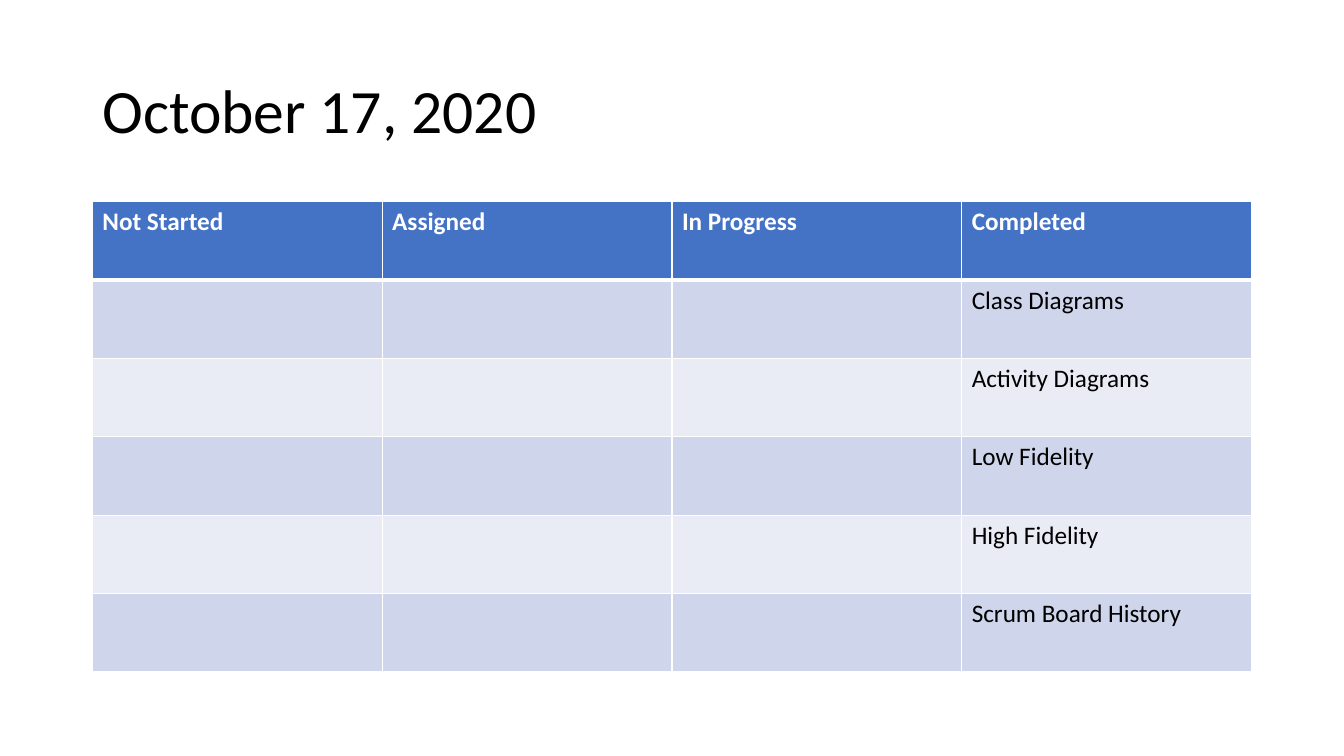
"""Build a scrum board slide with one status per column."""
from dataclasses import dataclass

import lxml.etree
import pptx
import pptx.dml.color
import pptx.enum.text
import pptx.oxml.ns
import pptx.util

Pt = pptx.util.Pt
RGBColor = pptx.dml.color.RGBColor

WHITE = RGBColor(0xFF, 0xFF, 0xFF)
BLACK = RGBColor(0x00, 0x00, 0x00)
HEADER_BLUE = RGBColor(0x44, 0x72, 0xC4)
BAND_DARK = RGBColor(0xCF, 0xD5, 0xEA)
BAND_LIGHT = RGBColor(0xE9, 0xEB, 0xF5)

FONT = "Calibri"
LEFT, WIDTH = 66, 828
TITLE_TOP, TITLE_HEIGHT = 28.75, 104.4
BOARD_TOP, ROW_HEIGHT = 144, 56
THIN, THICK = 1, 3


@dataclass(frozen=True)
class Status:
    """A board column and the tasks listed in it."""

    name: str
    tasks: tuple[str, ...] = ()


@dataclass(frozen=True)
class RowStyle:
    """The look of one board row."""

    fill: RGBColor
    text: RGBColor
    bold: bool = False
    top: int = THIN
    bottom: int = THIN


BOARD = (
    Status("Not Started"),
    Status("Assigned"),
    Status("In Progress"),
    Status("Completed", (
        "Class Diagrams",
        "Activity Diagrams",
        "Low Fidelity",
        "High Fidelity",
        "Scrum Board History",
    )),
)


def row_style(row: int) -> RowStyle:
    """Return the header style or the alternating band style."""
    if row == 0:
        return RowStyle(HEADER_BLUE, WHITE, bold=True, bottom=THICK)
    band = BAND_DARK if row % 2 else BAND_LIGHT
    return RowStyle(band, BLACK, top=THICK if row == 1 else THIN)


def set_font(paragraph, size: float, color: RGBColor, bold: bool = False) -> None:
    """Set the font of a whole paragraph."""
    font = paragraph.font
    font.name, font.size, font.bold = FONT, Pt(size), bold
    font.color.rgb = color


def add_border(cell, side: str, width: float) -> None:
    """Draw a white border on one side of a cell."""
    qn = pptx.oxml.ns.qn
    properties = cell._tc.get_or_add_tcPr()
    line = lxml.etree.SubElement(properties, qn(f"a:ln{side}"), w=str(Pt(width)))
    fill = lxml.etree.SubElement(line, qn("a:solidFill"))
    lxml.etree.SubElement(fill, qn("a:srgbClr"), val=str(WHITE))


def fill_cell(cell, text: str, style: RowStyle) -> None:
    """Write and format one board cell."""
    cell.text = text
    set_font(cell.text_frame.paragraphs[0], 18, style.text, style.bold)
    borders = {"L": THIN, "R": THIN, "T": style.top, "B": style.bottom}
    for side, width in borders.items():
        add_border(cell, side, width)
    cell.fill.solid()
    cell.fill.fore_color.rgb = style.fill


def add_title(slide, text: str) -> None:
    """Add the slide title."""
    shape = slide.shapes.add_textbox(
        Pt(LEFT), Pt(TITLE_TOP), Pt(WIDTH), Pt(TITLE_HEIGHT))
    frame = shape.text_frame
    frame.word_wrap = True
    frame.vertical_anchor = pptx.enum.text.MSO_ANCHOR.MIDDLE
    paragraph = frame.paragraphs[0]
    paragraph.text = text
    paragraph.line_spacing = 0.9
    set_font(paragraph, 44, BLACK)


def add_board(slide, board: tuple[Status, ...]) -> None:
    """Add the table of statuses and tasks."""
    row_count = 1 + max(len(status.tasks) for status in board)
    table = slide.shapes.add_table(
        row_count, len(board), Pt(LEFT), Pt(BOARD_TOP),
        Pt(WIDTH), Pt(ROW_HEIGHT * row_count)).table
    for column, status in enumerate(board):
        texts = (status.name, *status.tasks)
        for row in range(row_count):
            text = texts[row] if row < len(texts) else ""
            fill_cell(table.cell(row, column), text, row_style(row))


def main() -> None:
    """Build and save the presentation."""
    presentation = pptx.Presentation()
    presentation.slide_width, presentation.slide_height = Pt(960), Pt(540)
    slide = presentation.slides.add_slide(presentation.slide_layouts[6])
    add_title(slide, "October 17, 2020")
    add_board(slide, BOARD)
    presentation.save("out.pptx")


main()
